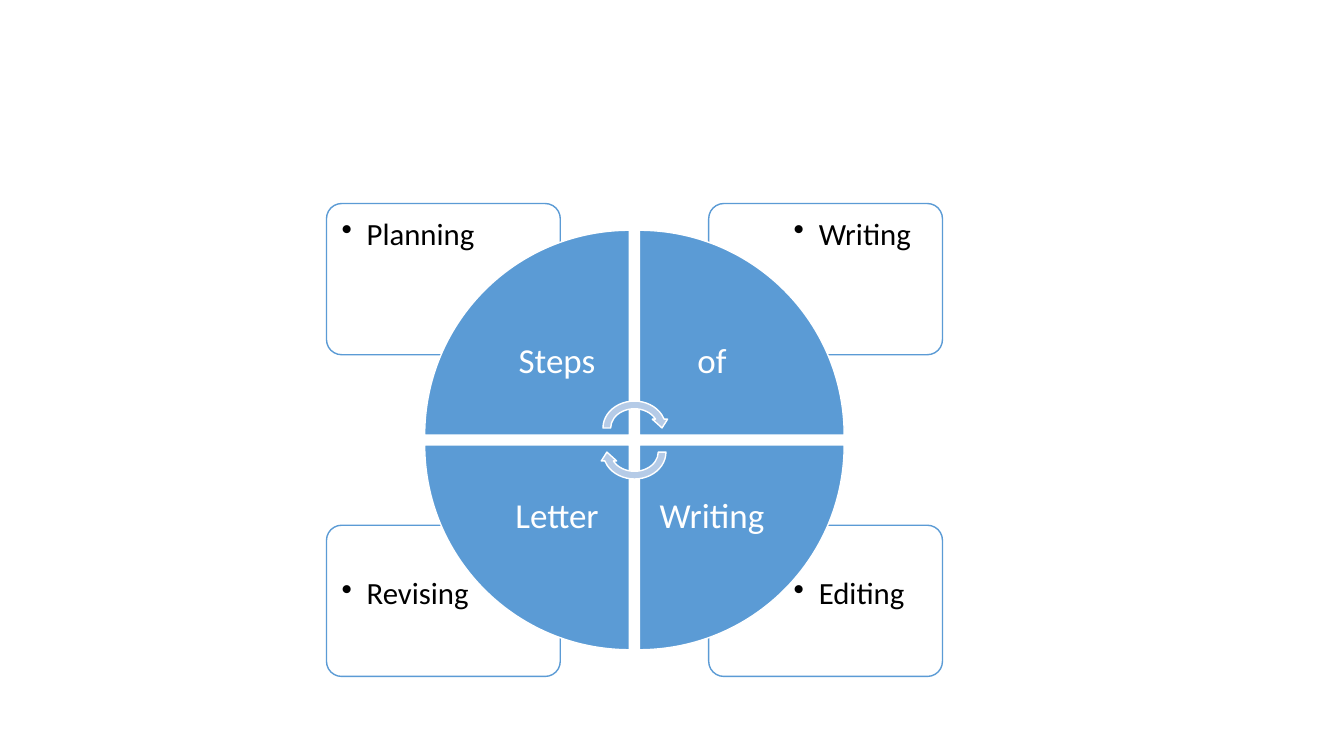
from dataclasses import dataclass
from lxml.etree import SubElement
from pptx import Presentation
from pptx.dml.color import RGBColor
from pptx.enum.shapes import MSO_SHAPE
from pptx.enum.text import MSO_ANCHOR, PP_ALIGN
from pptx.oxml.ns import qn
from pptx.util import Pt

CARDS = [("Editing", 1, 1), ("Revising", -1, 1), ("Writing", 1, -1), ("Planning", -1, -1)]
WEDGES = [("Steps", -1, -1, 0), ("of", 1, -1, 90), ("Writing", 1, 1, 180), ("Letter", -1, 1, 270)]
ARROWS = [(-1, 0), (1, 180)]


@dataclass(frozen=True)
class Theme:
    font: str = "Calibri"
    blue: str = "5B9BD5"
    pale: str = "B5CBE7"
    white: str = "FFFFFF"
    black: str = "000000"
    card_size: float = 22
    wedge_size: float = 25


THEME = Theme()
CENTER_X, CENTER_Y = 453.2, 314.3
CARD_SIZE, CARD_GAP = (167, 108), (53, 121.8 / 2)
NOTE_SIZE, NOTE_INSET = (112.3, 76.3), 2.4
WEDGE_SIDE, WEDGE_GAP, LABEL_SIDE = 146.2, 3.6, 103.5
ARROW_SIZE, ARROW_SHIFT = (50.4, 43.9), 8.6


def quadrant(side_x, side_y, gap, size):
    """Return the frame of a part lying gap away from the centre on the given sides."""
    left = CENTER_X + (gap[0] if side_x > 0 else -gap[0] - size[0])
    top = CENTER_Y + (gap[1] if side_y > 0 else -gap[1] - size[1])
    return left, top, *size


def add_figure(page, kind, frame, fill, line, rotation=0):
    """Add a filled preset shape."""
    figure = page.shapes.add_shape(kind, *map(Pt, frame))
    figure.shadow.inherit = False
    figure.fill.solid()
    figure.fill.fore_color.rgb = RGBColor.from_string(fill)
    figure.line.color.rgb = RGBColor.from_string(line)
    figure.line.width = Pt(1)
    figure.rotation = rotation
    return figure


def add_text(page, text, frame, *, size, color, inset, align, anchor, bullet=False):
    """Add a one-paragraph text box."""
    box = page.shapes.add_textbox(*map(Pt, frame))
    body = box.text_frame
    body.word_wrap = True
    body.vertical_anchor = anchor
    body.margin_left = body.margin_right = body.margin_top = body.margin_bottom = Pt(inset)
    para = body.paragraphs[0]
    para.alignment = align
    para.line_spacing = 0.9
    span = para.add_run()
    span.text = text
    span.font.name = THEME.font
    span.font.size = Pt(size)
    span.font.color.rgb = RGBColor.from_string(color)
    if bullet:
        properties = para._p.get_or_add_pPr()
        properties.set("marL", str(Pt(18)))
        properties.set("indent", str(-Pt(18)))
        SubElement(properties, qn("a:buChar")).set("char", "•")


def add_card(page, text, side_x, side_y):
    """Add an outlined card with its bulleted text at the outer corner."""
    frame = quadrant(side_x, side_y, CARD_GAP, CARD_SIZE)
    card = add_figure(page, MSO_SHAPE.ROUNDED_RECTANGLE, frame, THEME.white, THEME.blue)
    card.adjustments[0] = 0.1
    color = card.fill._xPr.find(qn("a:solidFill"))[0]
    SubElement(color, qn("a:alpha")).set("val", "90000")
    gap = [near + card_length - note_length - NOTE_INSET
           for near, card_length, note_length in zip(CARD_GAP, CARD_SIZE, NOTE_SIZE)]
    add_text(page, text, quadrant(side_x, side_y, gap, NOTE_SIZE), size=THEME.card_size,
             color=THEME.black, inset=8.4, align=PP_ALIGN.LEFT, anchor=MSO_ANCHOR.TOP, bullet=True)


def add_wedge(page, text, side_x, side_y, rotation):
    """Add a quarter of the wheel with its upright label."""
    gap = (WEDGE_GAP, WEDGE_GAP)
    frame = quadrant(side_x, side_y, gap, (WEDGE_SIDE, WEDGE_SIDE))
    add_figure(page, MSO_SHAPE.PIE_WEDGE, frame, THEME.blue, THEME.white, rotation)
    add_text(page, text, quadrant(side_x, side_y, gap, (LABEL_SIDE, LABEL_SIDE)),
             size=THEME.wedge_size, color=THEME.white, inset=13.4,
             align=PP_ALIGN.CENTER, anchor=MSO_ANCHOR.MIDDLE)


def main():
    """Build and save the slide."""
    deck = Presentation()
    deck.slide_width, deck.slide_height = Pt(960), Pt(540)
    page = deck.slides.add_slide(deck.slide_layouts[6])
    for card in CARDS:
        add_card(page, *card)
    for wedge in WEDGES:
        add_wedge(page, *wedge)
    width, height = ARROW_SIZE
    for side, rotation in ARROWS:
        frame = (CENTER_X - width / 2, CENTER_Y + side * ARROW_SHIFT - height / 2, width, height)
        add_figure(page, MSO_SHAPE.CIRCULAR_ARROW, frame, THEME.pale, THEME.white, rotation)
    deck.save("out.pptx")


if __name__ == "__main__":
    main()
